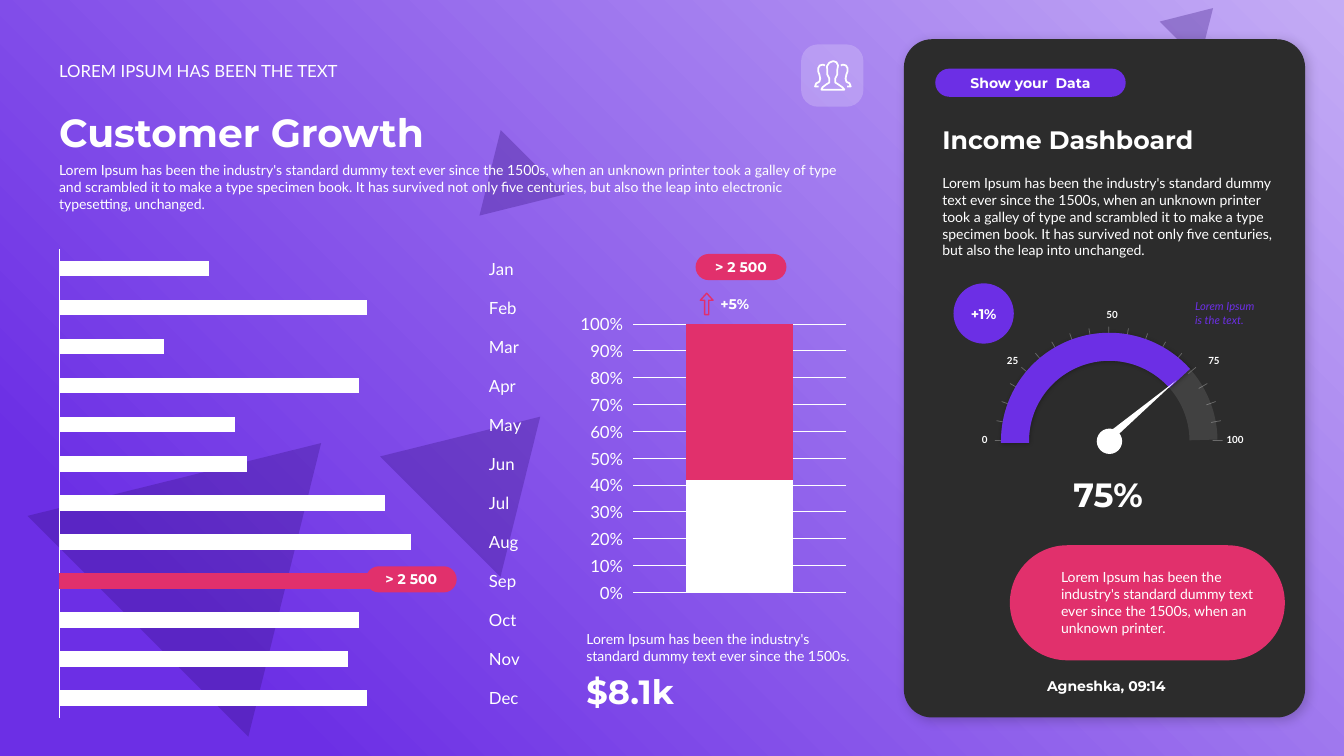
from math import cos, radians, sin

from lxml import etree
from pptx import Presentation
from pptx.chart.data import CategoryChartData
from pptx.dml.color import RGBColor
from pptx.enum.chart import XL_CHART_TYPE, XL_TICK_LABEL_POSITION, XL_TICK_MARK
from pptx.enum.shapes import MSO_CONNECTOR, MSO_SHAPE
from pptx.enum.text import MSO_ANCHOR, MSO_AUTO_SIZE, PP_ALIGN
from pptx.oxml.ns import qn
from pptx.util import Cm, Pt

LEFT, CENTER, RIGHT = PP_ALIGN.LEFT, PP_ALIGN.CENTER, PP_ALIGN.RIGHT
TOP, MIDDLE, BOTTOM = MSO_ANCHOR.TOP, MSO_ANCHOR.MIDDLE, MSO_ANCHOR.BOTTOM
TRIANGLE, ROUNDED, OVAL, ARC = (MSO_SHAPE.ISOSCELES_TRIANGLE, MSO_SHAPE.ROUNDED_RECTANGLE,
                                MSO_SHAPE.OVAL, MSO_SHAPE.ARC)
NO_TICK, OUTSIDE = XL_TICK_MARK.NONE, XL_TICK_MARK.OUTSIDE

THEME = {
    "white": RGBColor.from_string("FFFFFF"),
    "violet": RGBColor.from_string("6C2FE5"),
    "lilac": RGBColor.from_string("C4ACF5"),
    "indigo": RGBColor.from_string("330F7B"),
    "pink": RGBColor.from_string("E1306C"),
    "dark": RGBColor.from_string("2C2C2C"),
    "headline": {"name": "Montserrat", "size": Pt(28), "bold": True},
    "figure": {"name": "Montserrat", "size": Pt(24), "bold": True},
    "heading": {"name": "Montserrat", "size": Pt(18), "bold": True},
    "strong": {"name": "Montserrat", "size": Pt(10), "bold": True},
    "kicker": {"name": "Lato", "size": Pt(12)},
    "body": {"name": "Lato", "size": Pt(10)},
    "note": {"name": "Lato", "size": Pt(8), "italic": True},
    "scale": {"name": "Lato", "size": Pt(7), "bold": True},
}

deck = Presentation()
deck.slide_width, deck.slide_height = Cm(33.87), Cm(19.05)
page = deck.slides.add_slide(deck.slide_layouts[5])


def add_form(kind, at, fill=None, alpha=None, adjust=(), turn=0, shadow=None):
    form = page.shapes.add_shape(kind, *map(Cm, at))
    form.shadow.inherit = False
    form.rotation = turn
    for index, value in enumerate(adjust):
        form.adjustments[index] = value
    form.line.fill.background()
    if fill:
        form.fill.solid()
        form.fill.fore_color.rgb = THEME[fill]
    else:
        form.fill.background()
    if alpha:
        color = form.element.spPr.find(f"{qn('a:solidFill')}/{qn('a:srgbClr')}")
        etree.SubElement(color, qn("a:alpha"), val=str(alpha * 1000))
    if shadow:
        strength, blur, distance = shadow
        cast = etree.SubElement(form.element.spPr.find(qn("a:effectLst")), qn("a:outerShdw"),
                                blurRad=str(Pt(blur)), dist=str(Pt(distance)), dir="2700000",
                                algn="tl", rotWithShape="0")
        color = etree.SubElement(cast, qn("a:srgbClr"), val="000000")
        etree.SubElement(color, qn("a:alpha"), val=str(strength * 1000))
    return form


def write(box, text, style, align=LEFT, anchor=TOP, inset=0.25, color="white"):
    frame = box.text_frame
    settings = {"word_wrap": True, "auto_size": MSO_AUTO_SIZE.NONE, "vertical_anchor": anchor,
                "margin_left": Cm(inset), "margin_right": Cm(inset),
                "margin_top": Cm(0.13), "margin_bottom": Cm(0.13)}
    for name, value in settings.items():
        setattr(frame, name, value)
    para = frame.paragraphs[0]
    para.alignment = align
    span = para.add_run()
    span.text = text
    for name, value in THEME[style].items():
        setattr(span.font, name, value)
    span.font.color.rgb = THEME[color]


backdrop = page.background.fill
backdrop.gradient()
for stop, color, position in zip(backdrop.gradient_stops, ("lilac", "violet"), (0, 0.85)):
    stop.color.rgb = THEME[color]
    stop.position = position
gradient = next(page.element.iter(qn("a:gradFill")))
gradient.remove(gradient.find(qn("a:lin")))
glow = etree.SubElement(gradient, qn("a:path"), path="circle")
etree.SubElement(glow, qn("a:fillToRect"), l="100000", b="100000")

for at, turn in [((1.85, 10.21, 7.87, 6.53), 45), ((10.21, 9.98, 4.29, 3.56), 45),
                 ((11.61, 3.81, 2.29, 1.9), 225), ((29.44, 0.03, 1.42, 1.19), 45)]:
    add_form(TRIANGLE, at, "indigo", 30, turn=turn)
add_form(ROUNDED, (22.78, 0.99, 10.11, 17.09), "dark", adjust=[0.07], shadow=(20, 8, 3))

title = page.shapes.title
title.left, title.top, title.width, title.height = map(Cm, (1.24, 2.59, 20.52, 1.45))
write(title, "Customer Growth", "headline", anchor=BOTTOM)

add_form(ROUNDED, (20.19, 1.12, 1.57, 1.57), "white", 20, [0.27])
front_person = [(18, 74), (21, 68), (30, 61), (38, 56), (38, 46), (33, 36), (33, 25), (32, 15),
                (38, 6), (48, 2), (56, 5), (60, 13), (58, 25), (58, 36), (53, 46), (53, 56),
                (61, 61), (71, 68), (76, 74)]
left_person = [(11, 66), (2, 66), (5, 58), (13, 54), (15, 46), (13, 36), (10, 28), (10, 20),
               (14, 13), (22, 11), (27, 13)]
right_person = [(94 - x, y) for x, y in left_person]
for points, closed in [(front_person, True), (left_person, False), (right_person, False)]:
    builder = page.shapes.build_freeform(*points[0], scale=Cm(0.01))
    builder.add_line_segments(points[1:], close=closed)
    person = builder.convert_to_shape(Cm(20.52), Cm(1.52))
    person.shadow.inherit = False
    person.fill.background()
    person.line.color.rgb = THEME["white"]
    person.line.width = Pt(1.25)

months = CategoryChartData()
months.categories = ["Jan", "Feb", "Mar", "Apr", "May", "Jun",
                     "Jul", "Aug", "Sep", "Oct", "Nov", "Dec"]
months.add_series("Series 1", [40, 82, 28, 80, 47, 50, 87, 94, 100, 80, 77, 82])
share = CategoryChartData()
share.categories = ["1"]
share.add_series("Series 1", [42])
share.add_series("Series 2", [58])

charts = []
for kind, at, data, colors, gap, overlap, top_value, plot_at in [
    (XL_CHART_TYPE.BAR_CLUSTERED, (1.24, 6.05, 12.09, 12.32), months, ["white"],
     150, -25, 112, (0.021, 0.018, 0.875, 0.959)),
    (XL_CHART_TYPE.COLUMN_STACKED_100, (14.48, 7.75, 6.99, 7.59), share, ["white", "pink"],
     100, 100, 1, (0.211, 0.055, 0.769, 0.891)),
]:
    chart = page.shapes.add_chart(kind, *map(Cm, at), data).chart
    chart.has_legend = chart.has_title = False
    for name, value in THEME["kicker"].items():
        setattr(chart.font, name, value)
    chart.font.color.rgb = THEME["white"]
    plot = chart.plots[0]
    plot.gap_width, plot.overlap, plot.vary_by_categories = gap, overlap, False
    for series, color in zip(plot.series, colors):
        series.format.fill.solid()
        series.format.fill.fore_color.rgb = THEME[color]
    chart.value_axis.minimum_scale, chart.value_axis.maximum_scale = 0, top_value
    area = chart.element.find(f".//{qn('c:plotArea')}")
    for layout in area.findall(qn("c:layout")):
        area.remove(layout)
    layout = etree.Element(qn("c:layout"))
    area.insert(0, layout)
    manual = etree.SubElement(layout, qn("c:manualLayout"))
    for tag, value in [("layoutTarget", "inner"), ("xMode", "edge"), ("yMode", "edge"),
                       *zip("xywh", plot_at)]:
        etree.SubElement(manual, qn(f"c:{tag}"), val=str(value))
    charts.append(chart)

month_chart, share_chart = charts
month_chart.value_axis.visible = False
month_chart.value_axis.has_major_gridlines = False
month_axis = month_chart.category_axis
month_axis.reverse_order = True
month_axis.major_tick_mark = NO_TICK
month_axis.tick_label_position = XL_TICK_LABEL_POSITION.HIGH
september = month_chart.plots[0].series[0].points[8].format.fill
september.solid()
september.fore_color.rgb = THEME["pink"]

share_chart.category_axis.visible = False
share_axis = share_chart.value_axis
share_axis.major_unit = 0.1
share_axis.major_tick_mark = OUTSIDE
share_axis.tick_labels.number_format = "0%"
share_axis.tick_labels.number_format_is_linked = False
share_axis.format.line.fill.background()
for line in (month_axis.format.line, share_axis.major_gridlines.format.line):
    line.color.rgb = THEME["white"]
    line.width = Pt(0.75)

arrow = add_form(MSO_SHAPE.UP_ARROW, (17.65, 7.39, 0.32, 0.54), adjust=[0.32, 0.55])
arrow.line.color.rgb = THEME["pink"]
arrow.line.width = Pt(1)

dial_at = (25.58, 8.74, 4.75, 4.75)
track = add_form(ARC, dial_at, adjust=[108.1, 215.58])
track.line.width = Pt(20)
faint_lines = [(track, 10)]
add_form(OVAL, (27.64, 10.8, 0.64, 0.64), "white")
for angle in range(0, 181, 10):
    across, up = cos(radians(angle)), sin(radians(angle))
    ends = [Cm(start + step * radius) for radius in (2.87, 2.62)
            for start, step in ((27.94, across), (11.1, -up))]
    tick = page.shapes.add_connector(MSO_CONNECTOR.STRAIGHT, *ends)
    tick.line.width = Pt(0.5)
    etree.SubElement(tick.element.spPr, qn("a:effectLst"))
    faint_lines.append((tick, 30))
for mark, alpha in faint_lines:
    mark.line.color.rgb = THEME["white"]
    color = mark.element.spPr.find(f"{qn('a:ln')}/{qn('a:solidFill')}/{qn('a:srgbClr')}")
    etree.SubElement(color, qn("a:alpha"), val=str(alpha * 1000))
progress = add_form(ARC, dial_at, adjust=[107.34, 191.03], shadow=(30, 3, 1))
progress.line.color.rgb = THEME["violet"]
progress.line.width = Pt(20)
add_form(TRIANGLE, (28.75, 9.22, 0.2, 2.08), "white", turn=49.8)
add_form(ROUNDED, (25.45, 13.74, 6.93, 2.9), "pink", adjust=[0.5])

for kind, at, fill, text in [(ROUNDED, (17.53, 6.4, 2.29, 0.66), "pink", "> 2 500"),
                             (ROUNDED, (9.22, 14.27, 2.29, 0.66), "pink", "> 2 500"),
                             (ROUNDED, (23.57, 1.73, 4.8, 0.71), "violet", "Show your  Data"),
                             (OVAL, (24.03, 7.14, 1.52, 1.52), "violet", "+1%")]:
    pill = add_form(kind, at, fill, adjust=[0.5] if kind == ROUNDED else [])
    write(pill, text, "strong", CENTER, MIDDLE, 0)

lorem = "Lorem Ipsum has been the industry's standard dummy text ever since the 1500s"
story = (lorem + ", when an unknown printer took a galley of type and scrambled it to make a type "
         "specimen book. It has survived not only five centuries, but also the leap into ")
for at, text, style, align, anchor in [
    ((1.24, 1.4, 20.52, 0.76), "LOREM IPSUM HAS BEEN THE TEXT", "kicker", LEFT, BOTTOM),
    ((1.24, 3.94, 20.52, 1.55), story + "electronic typesetting, unchanged.", "body", LEFT, TOP),
    ((14.53, 15.75, 7.39, 1.12), lorem + ".", "body", LEFT, BOTTOM),
    ((14.53, 16.79, 7.39, 1.27), "$8.1k", "figure", LEFT, BOTTOM),
    ((17.73, 7.32, 1.57, 0.69), "+5%", "strong", CENTER, TOP),
    ((23.5, 3, 8.89, 1.02), "Income Dashboard", "heading", LEFT, BOTTOM),
    ((23.5, 4.27, 8.89, 2.39), story + "unchanged.", "body", LEFT, TOP),
    ((24.28, 10.72, 0.86, 0.71), "0", "scale", RIGHT, MIDDLE),
    ((24.87, 8.74, 1.04, 0.71), "25", "scale", RIGHT, MIDDLE),
    ((27.38, 7.49, 1.04, 0.71), "50", "scale", RIGHT, BOTTOM),
    ((30.2, 8.74, 1.04, 0.71), "75", "scale", LEFT, MIDDLE),
    ((30.66, 10.72, 1.5, 0.71), "100", "scale", LEFT, MIDDLE),
    ((29.87, 7.42, 2.21, 0.94), "Lorem Ipsum is the text.", "note", LEFT, MIDDLE),
    ((24.89, 11.81, 6.07, 1.27), "75%", "figure", CENTER, BOTTOM),
    ((26.49, 14.2, 5.41, 1.96), lorem + ", when an unknown printer.", "body", LEFT, MIDDLE),
    ((26.14, 16.94, 5.79, 0.69), "Agneshka, 09:14", "strong", LEFT, BOTTOM),
]:
    box = page.shapes.add_textbox(*map(Cm, at))
    write(box, text, style, align, anchor, color="violet" if style == "note" else "white")

deck.save("out.pptx")
